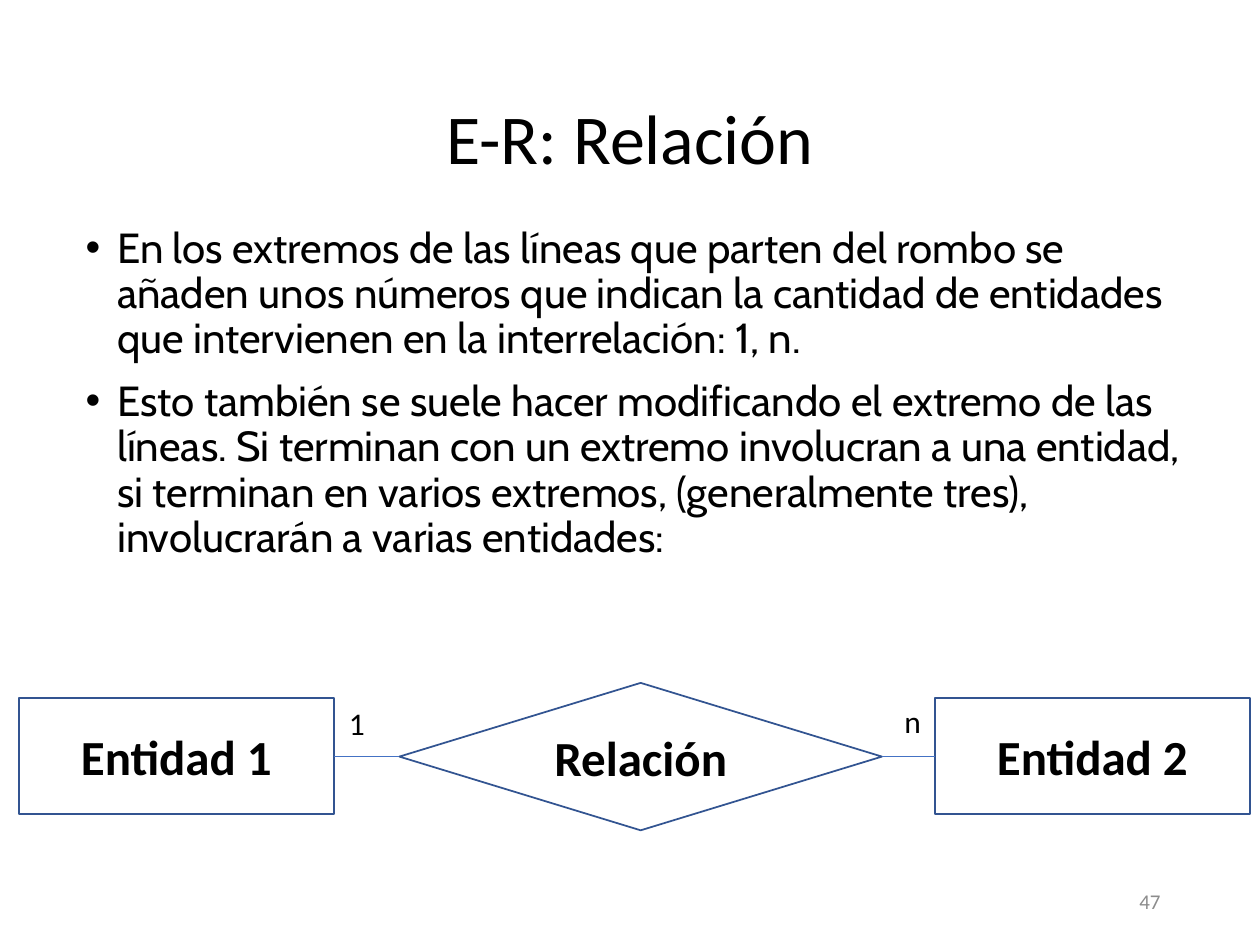
from lxml.etree import SubElement
from pptx import Presentation
from pptx.dml.color import RGBColor
from pptx.enum.shapes import MSO_CONNECTOR, MSO_SHAPE
from pptx.enum.text import MSO_ANCHOR, MSO_AUTO_SIZE, PP_ALIGN
from pptx.oxml.ns import qn
from pptx.util import Pt

PX = 9144  # 100 px to the inch
BLACK, WHITE, GRAY = "000000", "FFFFFF", "8C8C8C"
OUTLINE, LINK = "325491", "4472C4"


def px(*lengths):
    return [length * PX for length in lengths]


def color(value):
    return RGBColor.from_string(value)


class SlideBuilder:
    def __init__(self, slide):
        self.slide = slide
        self.font = "Calibri"
        self.body_font = "Cabin"

    def set_text(self, shape, lines, size, align, anchor=MSO_ANCHOR.TOP,
                 font=None, fill=BLACK, bold=False):
        frame = shape.text_frame
        frame.text = "\n".join(lines)
        frame.word_wrap = True
        frame.auto_size = MSO_AUTO_SIZE.NONE
        frame.vertical_anchor = anchor
        for paragraph in frame.paragraphs:
            paragraph.alignment = align
            for run in paragraph.runs:
                run.font.name = font or self.font
                run.font.size = Pt(size)
                run.font.bold = bold
                run.font.color.rgb = color(fill)

    def place(self, shape, box):
        shape.left, shape.top, shape.width, shape.height = px(*box)

    def title(self, text, box):
        shape = self.slide.shapes.title
        self.place(shape, box)
        self.set_text(shape, [text], 40, PP_ALIGN.CENTER, MSO_ANCHOR.MIDDLE)
        shape.text_frame.paragraphs[0].line_spacing = 0.9

    def bullets(self, items, box, indent=25):
        shape = self.slide.placeholders[1]
        self.place(shape, box)
        self.set_text(shape, items, 24, PP_ALIGN.LEFT, font=self.body_font)
        for paragraph in shape.text_frame.paragraphs:
            paragraph.line_spacing = 0.9
            paragraph.space_before = Pt(10)
            properties = paragraph._p.get_or_add_pPr()
            properties.set("marL", str(indent * PX))
            properties.set("indent", str(-indent * PX))
            SubElement(properties, qn("a:buFont")).set("typeface", "Arial")
            SubElement(properties, qn("a:buChar")).set("char", "•")

    def node(self, kind, text, box):
        shape = self.slide.shapes.add_shape(kind, *px(*box))
        shape.shadow.inherit = False
        shape.fill.solid()
        shape.fill.fore_color.rgb = color(WHITE)
        shape.line.color.rgb = color(OUTLINE)
        shape.line.width = Pt(1)
        self.set_text(shape, [text], 28, PP_ALIGN.CENTER, MSO_ANCHOR.MIDDLE, bold=True)

    def link(self, left, right, y):
        connector = self.slide.shapes.add_connector(
            MSO_CONNECTOR.STRAIGHT, *px(left, y, right, y))
        connector.line.color.rgb = color(LINK)
        connector.line.width = Pt(0.5)
        SubElement(connector._element.spPr, qn("a:effectLst"))

    def label(self, text, box, size=18, align=PP_ALIGN.LEFT, **style):
        shape = self.slide.shapes.add_textbox(*px(*box))
        self.set_text(shape, [text], size, align, **style)


def main():
    presentation = Presentation()
    presentation.slide_width, presentation.slide_height = px(1000, 750)
    builder = SlideBuilder(presentation.slides.add_slide(presentation.slide_layouts[1]))

    builder.title("E-R: Relación", (69, 40, 862, 145))
    builder.bullets([
        "En los extremos de las líneas que parten del rombo se añaden unos números "
        "que indican la cantidad de entidades que intervienen en la interrelación: 1, n.",
        "Esto también se suele hacer modificando el extremo de las líneas. Si terminan "
        "con un extremo involucran a una entidad, si terminan en varios extremos, "
        "(generalmente tres), involucrarán a varias entidades:",
    ], (58, 175, 900, 495))

    entity_width, entity_height, axis = 250, 92, 600
    first, second = 15, 742
    relation_left, relation_width, relation_height = 317, 383, 117
    for text, left in (("Entidad 1", first), ("Entidad 2", second)):
        builder.node(MSO_SHAPE.RECTANGLE, text,
                     (left, axis - entity_height // 2, entity_width, entity_height))
    builder.node(MSO_SHAPE.FLOWCHART_DECISION, "Relación",
                 (relation_left, axis - relation_height // 2,
                  relation_width, relation_height))
    builder.link(first + entity_width, relation_left, axis)
    builder.link(relation_left + relation_width, second, axis)
    builder.label("1", (267, 554, 35, 40))
    builder.label("n", (708, 552, 27, 40))
    builder.label("47", (706, 695, 225, 40), 12, PP_ALIGN.RIGHT,
                  anchor=MSO_ANCHOR.MIDDLE, fill=GRAY)

    presentation.save("out.pptx")


if __name__ == "__main__":
    main()
